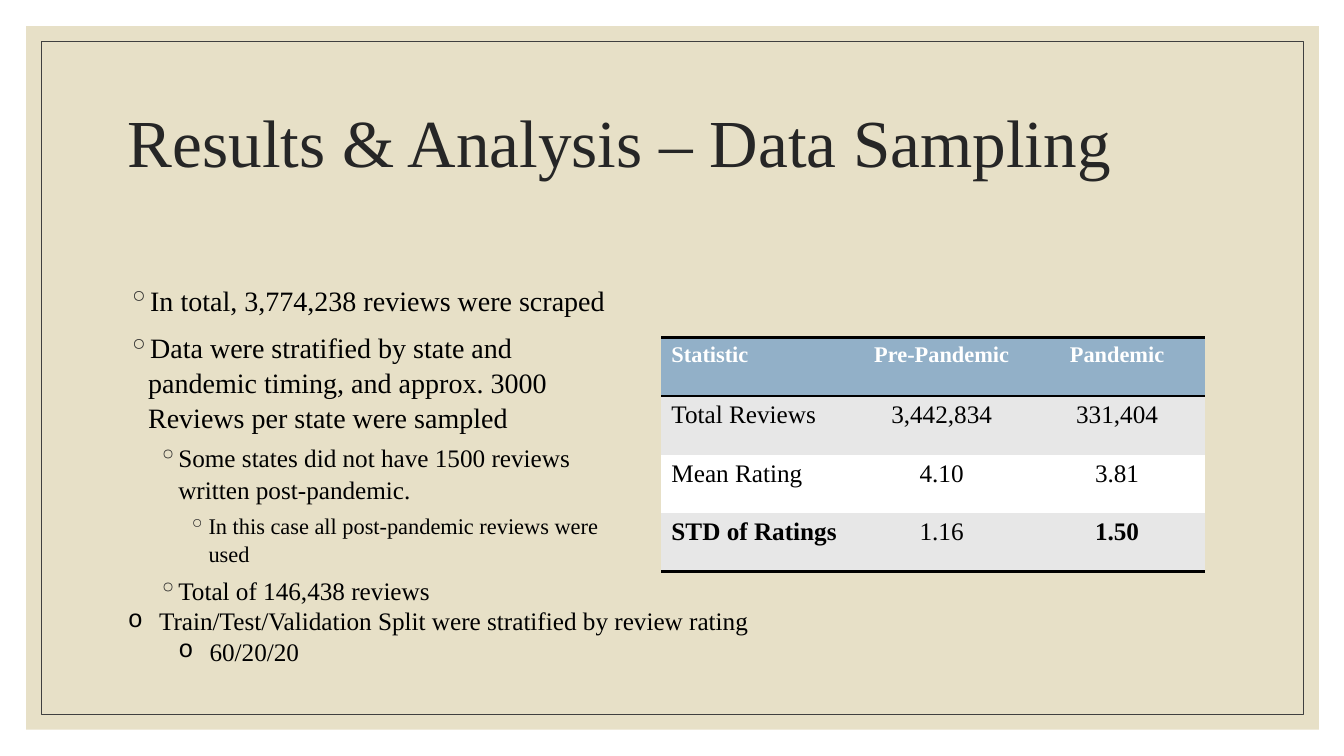
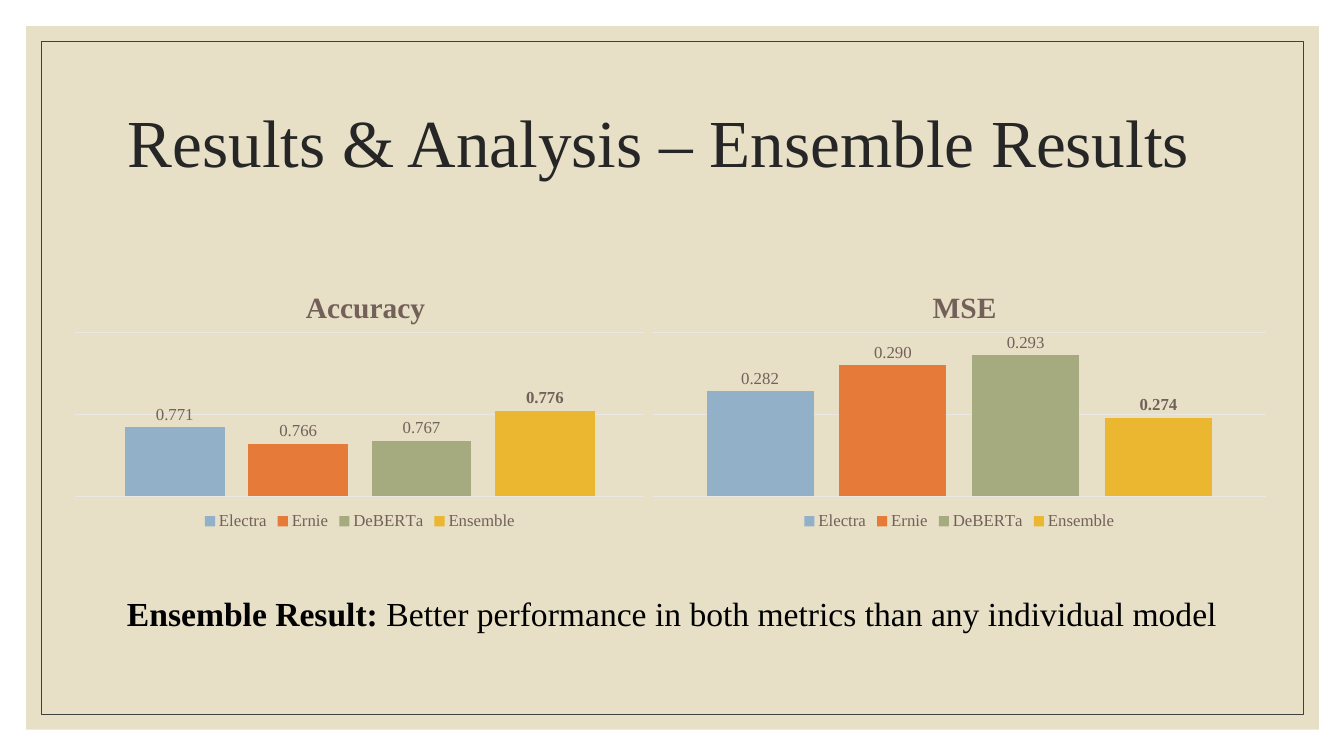
from lxml.etree import SubElement
from pptx import Presentation
from pptx.chart.data import CategoryChartData
from pptx.dml.color import RGBColor
from pptx.enum.chart import XL_CHART_TYPE, XL_LABEL_POSITION, XL_LEGEND_POSITION
from pptx.enum.shapes import MSO_SHAPE
from pptx.enum.text import MSO_ANCHOR, PP_ALIGN
from pptx.oxml import parse_xml
from pptx.oxml.ns import nsdecls, qn
from pptx.util import Emu, Pt

PX = 9144  # EMU per px, 100 px to the inch
FONT = "Times New Roman"
NO_GRID_STYLE = "{2D5ABB26-0587-4C30-8999-92F81FD0307C}"
COLORS = {
    "sand": "E7E0C7", "frame": "404040", "title": "262626",
    "black": "000000", "white": "FFFFFF", "band": "E7E7E7",
    "blue": "92B0C8", "orange": "E67A39", "green": "A5AB7F", "gold": "ECB730",
    "chart_text": "736059", "grid": "EBE7E5",
}


def px(*lengths):
    return [Emu(n * PX) for n in lengths]


def rgb(name):
    return RGBColor.from_string(COLORS[name])


def set_font(font, size=18, color="black", bold=False):
    font.name, font.size, font.bold = FONT, Pt(size), bold
    font.color.rgb = rgb(color)


def write(p, text, align=None, spacing=None, before=None, **style):
    """Add a run to a paragraph and format both."""
    r = p.add_run()
    r.text = text
    set_font(r.font, **style)
    if align is not None:
        p.alignment = align
    if spacing is not None:
        p.line_spacing = spacing
    if before is not None:
        p.space_before = Pt(before)


def add_bullet(p, char, left, hang, color="black", font=None):
    pPr = p._p.get_or_add_pPr()
    pPr.set("marL", str(left * PX))
    pPr.set("indent", str(-hang * PX))
    SubElement(SubElement(pPr, qn("a:buClr")), qn("a:srgbClr"), val=COLORS[color])
    if font:
        SubElement(pPr, qn("a:buFont"), typeface=font)
    SubElement(pPr, qn("a:buChar"), char=char)


def set_borders(cell, sides):
    for i, side in enumerate(sides):
        cell._tc.get_or_add_tcPr().insert(i, parse_xml(
            f'<a:ln{side} {nsdecls("a")} w="{Pt(2)}"><a:solidFill>'
            f'<a:srgbClr val="{COLORS["black"]}"/></a:solidFill></a:ln{side}>'))


def place(element, index, target="", **fractions):
    """Give a chart part a fixed place, in fractions of the chart."""
    for old in element.findall(qn("c:layout")):
        element.remove(old)
    inner = f'<c:layoutTarget val="{target}"/>' if target else ""
    inner += '<c:xMode val="edge"/><c:yMode val="edge"/>'
    inner += "".join(f'<c:{k} val="{v}"/>' for k, v in fractions.items())
    element.insert(index, parse_xml(
        f'<c:layout {nsdecls("c")}><c:manualLayout>{inner}</c:manualLayout></c:layout>'))


class Deck:
    def __init__(self):
        self.prs = Presentation()
        self.prs.slide_width, self.prs.slide_height = px(1333, 750)
        self.s = None

    def slide(self, title):
        self.s = self.prs.slides.add_slide(self.prs.slide_layouts[6])
        self.rect(26, 26, 1282, 698, fill="sand")
        self.rect(41, 41, 1252, 668, line="frame")
        tf = self.text_box(117, 70, 1100, 150)
        tf.vertical_anchor = MSO_ANCHOR.MIDDLE
        write(tf.paragraphs[0], title, size=48, color="title", spacing=0.9)

    def rect(self, x, y, w, h, fill=None, line=None):
        sp = self.s.shapes.add_shape(MSO_SHAPE.RECTANGLE, *px(x, y, w, h))
        sp.shadow.inherit = False
        if fill:
            sp.fill.solid()
            sp.fill.fore_color.rgb = rgb(fill)
        else:
            sp.fill.background()
        if line:
            sp.line.color.rgb = rgb(line)
            sp.line.width = Pt(0.5)
        else:
            sp.line.fill.background()

    def text_box(self, x, y, w, h):
        tf = self.s.shapes.add_textbox(*px(x, y, w, h)).text_frame
        tf.word_wrap = True
        return tf

    def bullets(self, box, items, char, hang, first, step, sizes,
                before=(0, 0, 0), spacing=1.0, **mark):
        tf = self.text_box(*box)
        for i, (level, text) in enumerate(items):
            p = tf.add_paragraph() if i else tf.paragraphs[0]
            p.level = level
            write(p, text, size=sizes[level], before=before[level], spacing=spacing)
            add_bullet(p, char, first + level * step, hang, **mark)

    def table(self, x, y, widths, row_height, rows, bold_cells):
        shape = self.s.shapes.add_table(
            len(rows), len(widths), *px(x, y, sum(widths), row_height * len(rows)))
        table = shape.table
        table._tbl.tblPr.find(qn("a:tableStyleId")).text = NO_GRID_STYLE
        for column, width in zip(table.columns, px(*widths)):
            column.width = width
        for i, row in enumerate(rows):
            header = i == 0
            for j, text in enumerate(row):
                cell = table.cell(i, j)
                cell.fill.solid()
                cell.fill.fore_color.rgb = rgb(
                    "blue" if header else "band" if i % 2 else "white")
                write(cell.text_frame.paragraphs[0], text,
                      align=PP_ALIGN.CENTER if j else PP_ALIGN.LEFT,
                      size=16 if header else 18,
                      color="white" if header else "black",
                      bold=header or (i, j) in bold_cells)
                if header:
                    set_borders(cell, "TB")
                elif i == len(rows) - 1:
                    set_borders(cell, "B")

    def column_chart(self, box, title, title_x, series, low, high):
        data = CategoryChartData()
        data.categories = ["1"]
        for name, _, value in series:
            data.add_series(name, [value])
        chart = self.s.shapes.add_chart(
            XL_CHART_TYPE.COLUMN_CLUSTERED, *px(*box), data).chart
        set_font(chart.font, size=10)

        # Title and plot area
        chart.has_title = True
        write(chart.chart_title.text_frame.paragraphs[0], title,
              size=21, color="chart_text", bold=True)
        chart.chart_title.include_in_layout = False
        place(chart.chart_title._element, 1, x=title_x, y=0.07)
        place(chart._chartSpace.chart.plotArea, 0, "inner",
              x=0.02, y=0.25, w=0.96, h=0.61)

        # Axes and legend
        chart.category_axis.visible = False
        axis = chart.value_axis
        axis.visible = False
        axis.minimum_scale, axis.maximum_scale, axis.major_unit = low, high, 0.025
        axis.has_major_gridlines = True
        axis.major_gridlines.format.line.color.rgb = rgb("grid")
        axis.major_gridlines.format.line.width = Pt(0.75)
        chart.has_legend = True
        chart.legend.position = XL_LEGEND_POSITION.BOTTOM
        chart.legend.include_in_layout = False
        set_font(chart.legend.font, size=12, color="chart_text")

        # Columns and their labels
        plot = chart.plots[0]
        plot.vary_by_categories = False
        plot.gap_width, plot.overlap = 100, -24
        for column, (name, color, _) in zip(plot.series, series):
            column.format.fill.solid()
            column.format.fill.fore_color.rgb = rgb(color)
            labels = column.data_labels
            labels.show_value = True
            labels.position = XL_LABEL_POSITION.OUTSIDE_END
            labels.number_format = "#,##0.000"
            labels.number_format_is_linked = False
            set_font(labels.font, size=12, color="chart_text", bold=name == "Ensemble")


def sampling_slide(deck):
    deck.slide("Results & Analysis – Data Sampling")
    deck.bullets((117, 275, 499, 337), [
        (0, "In total, 3,774,238 reviews were scraped"),
        (0, "Data were stratified by state and pandemic timing, and approx. 3000 "
            "Reviews per state were sampled"),
        (1, "Some states did not have 1500 reviews written post-pandemic."),
        (2, "In this case all post-pandemic reviews were used"),
        (1, "Total of 146,438 reviews"),
    ], "◦", hang=20, first=20, step=30, sizes=(20, 18, 16),
        before=(9, 5, 5), spacing=1.04, color="title")
    deck.table(656, 335, (191, 174, 174), 58, [
        ("Statistic", "Pre-Pandemic", "Pandemic"),
        ("Total Reviews", "3,442,834", "331,404"),
        ("Mean Rating", "4.10", "3.81"),
        ("STD of Ratings", "1.16", "1.50"),
    ], bold_cells={(3, 0), (3, 2)})
    deck.bullets((117, 596, 667, 71), [
        (0, "Train/Test/Validation Split were stratified by review rating"),
        (1, "60/20/20"),
    ], "o", hang=31, first=31, step=50, sizes=(18, 18), font="Courier New")


def ensemble_slide(deck):
    deck.slide("Results & Analysis – Ensemble Results")
    models = ("Electra", "Ernie", "DeBERTa", "Ensemble")
    colors = ("blue", "orange", "green", "gold")
    accuracy = (0.771, 0.766, 0.767, 0.776)
    mse = (0.282, 0.290, 0.293, 0.274)
    deck.column_chart((63, 263, 588, 267), "Accuracy", 0.4,
                      list(zip(models, colors, accuracy)), 0.75, 0.8)
    deck.column_chart((635, 263, 633, 267), "MSE", 0.45,
                      list(zip(models, colors, mse)), 0.25, 0.3)
    p = deck.text_box(32, 583, 1269, 50).paragraphs[0]
    write(p, "Ensemble Result: ", size=24, bold=True, align=PP_ALIGN.CENTER)
    write(p, "Better performance in both metrics than any individual model", size=24)


def main():
    deck = Deck()
    sampling_slide(deck)
    ensemble_slide(deck)
    deck.prs.save("out.pptx")


if __name__ == "__main__":
    main()
